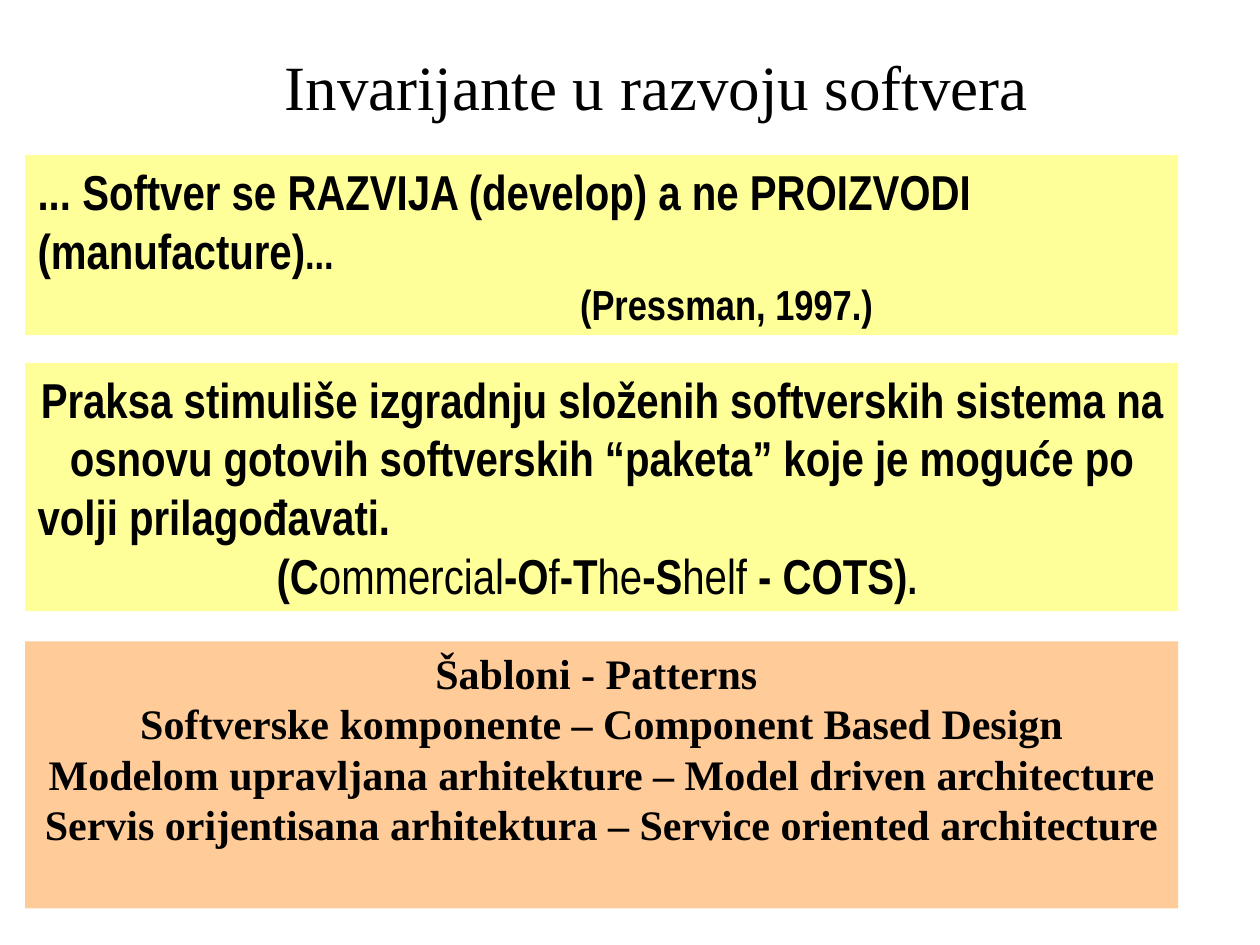
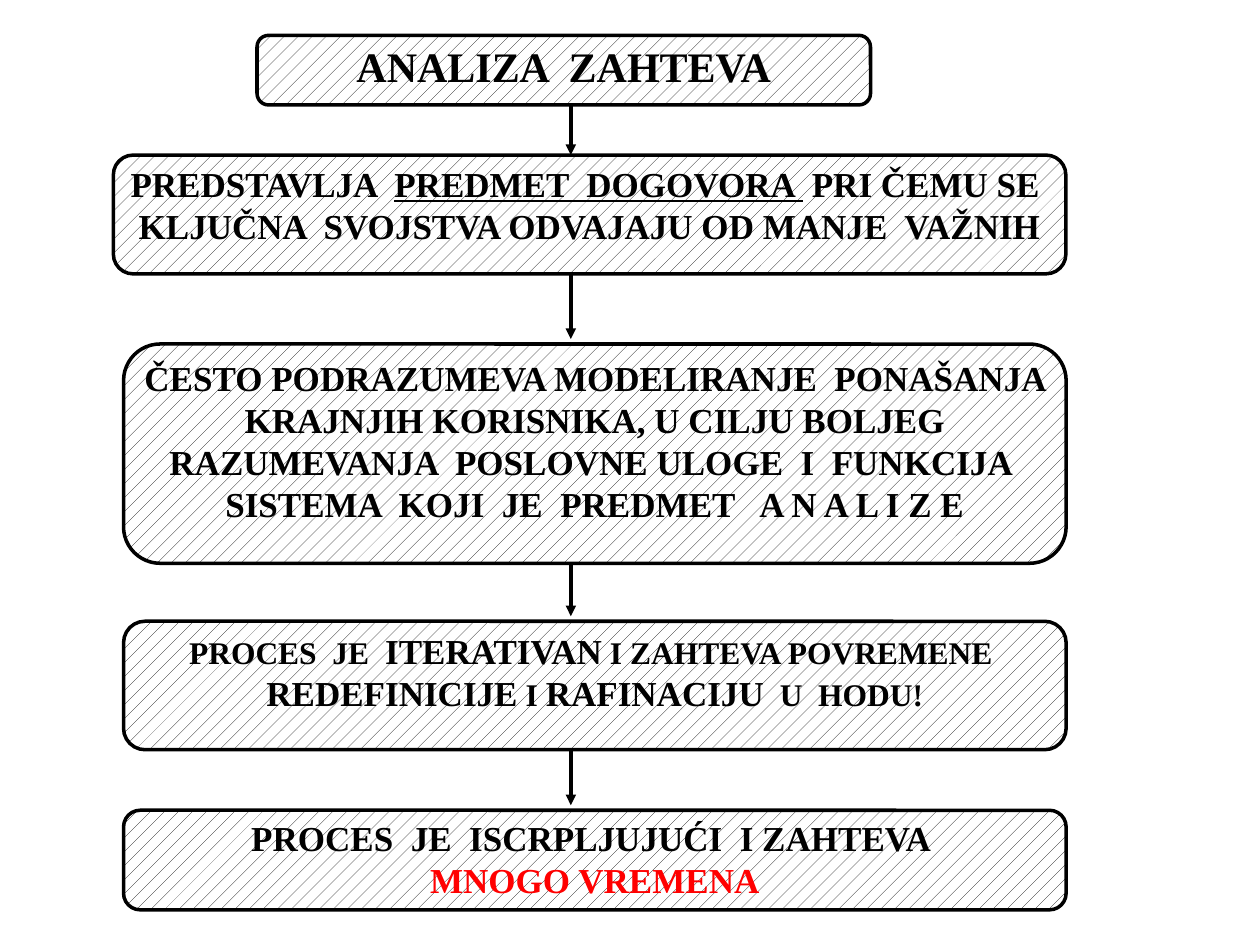
"""Build two slides on software invariants and requirements analysis."""
from dataclasses import dataclass

from lxml import etree
from pptx import Presentation
from pptx.dml.color import RGBColor
from pptx.enum.dml import MSO_PATTERN
from pptx.enum.shapes import MSO_CONNECTOR, MSO_SHAPE
from pptx.enum.text import MSO_ANCHOR, PP_ALIGN
from pptx.oxml.ns import qn
from pptx.slide import Slide
from pptx.text.text import TextFrame
from pptx.util import Pt

LEFT, CENTER = PP_ALIGN.LEFT, PP_ALIGN.CENTER
TOP, MIDDLE = MSO_ANCHOR.TOP, MSO_ANCHOR.MIDDLE
RECT, ROUND = MSO_SHAPE.RECTANGLE, MSO_SHAPE.ROUNDED_RECTANGLE
LINE, DOTS = MSO_CONNECTOR.STRAIGHT, MSO_PATTERN.PERCENT_10

BLACK = RGBColor(0x00, 0x00, 0x00)
WHITE = RGBColor(0xFF, 0xFF, 0xFF)
RED = RGBColor(0xFF, 0x00, 0x00)
YELLOW = RGBColor(0xFF, 0xFF, 0x99)
PEACH = RGBColor(0xFF, 0xCC, 0x99)

SERIF, NARROW = "Times New Roman", "Arial Narrow"
BAND_X, BAND_W = 14.4, 658.8
STEP_X, STEP_W = 70.6, 538.6
ARROW_X, STROKE = 326.2, 2


@dataclass(frozen=True)
class Span:
    text: str
    size: float | None = None
    bold: bool | None = None
    under: bool | None = None


@dataclass(frozen=True)
class Para:
    spans: tuple[Span, ...]
    size: float
    face: str = SERIF
    bold: bool = True
    color: RGBColor = BLACK
    align: PP_ALIGN = CENTER
    indent: float = 0


@dataclass(frozen=True)
class Band:
    top: float
    height: float
    fill: RGBColor
    paras: tuple[Para, ...]


@dataclass(frozen=True)
class Step:
    top: float
    height: float
    paras: tuple[Para, ...]
    left: float = STEP_X
    width: float = STEP_W
    gap: float = 2.9


def plain(text: str, size: float, **style) -> Para:
    """Return a paragraph with a single span."""
    return Para((Span(text),), size, **style)


def write(frame: TextFrame, paras: tuple[Para, ...], anchor: MSO_ANCHOR = TOP) -> None:
    """Fill a text frame with styled paragraphs."""
    frame.word_wrap = True
    frame.vertical_anchor = anchor
    for num, para in enumerate(paras):
        line = frame.add_paragraph() if num else frame.paragraphs[0]
        line.alignment = para.align
        if para.indent:
            line._p.get_or_add_pPr().set("marL", str(Pt(para.indent)))
        font = line.font
        font.name, font.size, font.bold = para.face, Pt(para.size), para.bold
        font.color.rgb = para.color
        for span in para.spans:
            run = line.add_run()
            run.text = span.text
            if span.size:
                run.font.size = Pt(span.size)
            if span.bold is not None:
                run.font.bold = span.bold
            if span.under:
                run.font.underline = True


def draw_title(slide: Slide, text: str) -> None:
    """Draw the slide title."""
    box = slide.shapes.add_textbox(Pt(72), Pt(23.8), Pt(606.2), Pt(50.4))
    write(box.text_frame, (plain(text, 36, bold=False),), MIDDLE)


def draw_band(slide: Slide, band: Band) -> None:
    """Draw a full-width coloured band of text."""
    box = slide.shapes.add_shape(RECT, Pt(BAND_X), Pt(band.top), Pt(BAND_W), Pt(band.height))
    box.shadow.inherit = False
    box.fill.solid()
    box.fill.fore_color.rgb = band.fill
    box.line.fill.background()
    write(box.text_frame, band.paras)


def draw_step(slide: Slide, step: Step) -> None:
    """Draw one rounded, patterned step."""
    box = slide.shapes.add_shape(
        ROUND, Pt(step.left), Pt(step.top), Pt(step.width), Pt(step.height))
    box.shadow.inherit = False
    box.fill.patterned()
    box.fill.pattern = DOTS
    box.fill.fore_color.rgb, box.fill.back_color.rgb = BLACK, WHITE
    box.line.color.rgb, box.line.width = BLACK, Pt(STROKE)
    frame = box.text_frame
    frame.margin_left = frame.margin_right = Pt(1)
    frame.margin_top = frame.margin_bottom = Pt(1)
    write(frame, step.paras)


def draw_arrow(slide: Slide, start: float, end: float) -> None:
    """Draw a downward arrow between two heights."""
    arrow = slide.shapes.add_connector(LINE, Pt(ARROW_X), Pt(start), Pt(ARROW_X), Pt(end))
    arrow.line.color.rgb, arrow.line.width = BLACK, Pt(STROKE)
    etree.SubElement(arrow.line._get_or_add_ln(), qn("a:tailEnd"), type="triangle")
    etree.SubElement(arrow._element.spPr, qn("a:effectLst"))


BANDS = (
    Band(88.6, 103, YELLOW, (
        Para((Span("... Softver se RAZVIJA (develop) a ne PROIZVODI (manufacture)"),
              Span("...", size=24)), 28, NARROW, align=LEFT),
        plain("(Pressman, 1997.)", 24, face=NARROW, align=LEFT, indent=310),
    )),
    Band(207.4, 141.8, YELLOW, (
        plain("Praksa stimuliše izgradnju složenih softverskih sistema na "
              "osnovu gotovih softverskih “paketa” koje je moguće po", 28, face=NARROW),
        plain("volji prilagođavati.", 28, face=NARROW, align=LEFT),
        Para((Span("(C"), Span("ommercial", bold=False), Span("-O"), Span("f", bold=False),
              Span("-T"), Span("he", bold=False), Span("-S"), Span("helf", bold=False),
              Span(" - COTS)"), Span(". ", size=24)), 28, NARROW),
    )),
    Band(366.5, 152.6, PEACH, tuple(plain(text, 24) for text in (
        "Šabloni - Patterns ",
        "Softverske komponente – Component Based Design",
        "Modelom upravljana arhitekture – Model driven architecture",
        "Servis orijentisana arhitektura – Service oriented architecture",
    ))),
)

STEPS = (
    Step(20.2, 39.8, (plain("ANALIZA  ZAHTEVA", 24),), 146.9, 350.6),
    Step(88.6, 67.9, (
        Para((Span("PREDSTAVLJA  "), Span("PREDMET  DOGOVORA ", under=True),
              Span(" PRI ČEMU SE  KLJUČNA  SVOJSTVA ODVAJAJU OD MANJE  VAŽNIH")), 20),
    ), 64.8, 544.3, 0),
    Step(196.6, 125.3, (
        plain("ČESTO PODRAZUMEVA MODELIRANJE  PONAŠANJA KRAJNJIH KORISNIKA, "
              "U CILJU BOLJEG RAZUMEVANJA  POSLOVNE ULOGE  I  FUNKCIJA  "
              "SISTEMA  KOJI  JE  PREDMET   A N A L I Z E", 20),
    )),
    Step(355, 73.4, (
        Para((Span("PROCES  JE  "), Span("ITERATIVAN", size=20),
              Span(" I ZAHTEVA POVREMENE  "), Span("REDEFINICIJE", size=20),
              Span(" I "), Span("RAFINACIJU", size=20), Span("  U  HODU!")), 18),
    )),
    Step(463, 56.9, (
        plain("PROCES  JE  ISCRPLJUJUĆI  I ZAHTEVA ", 20),
        plain("MNOGO VREMENA", 20, color=RED),
    )),
)


def main() -> None:
    """Build and save the deck."""
    deck = Presentation()
    deck.slide_width, deck.slide_height = Pt(720), Pt(540)
    blank = deck.slide_layouts[6]

    slide = deck.slides.add_slide(blank)
    draw_title(slide, "Invarijante u razvoju softvera")
    for band in BANDS:
        draw_band(slide, band)

    slide = deck.slides.add_slide(blank)
    for step in STEPS:
        draw_step(slide, step)
    for step, after in zip(STEPS, STEPS[1:]):
        draw_arrow(slide, step.top + step.height, after.top - after.gap)

    deck.save("out.pptx")


main()
